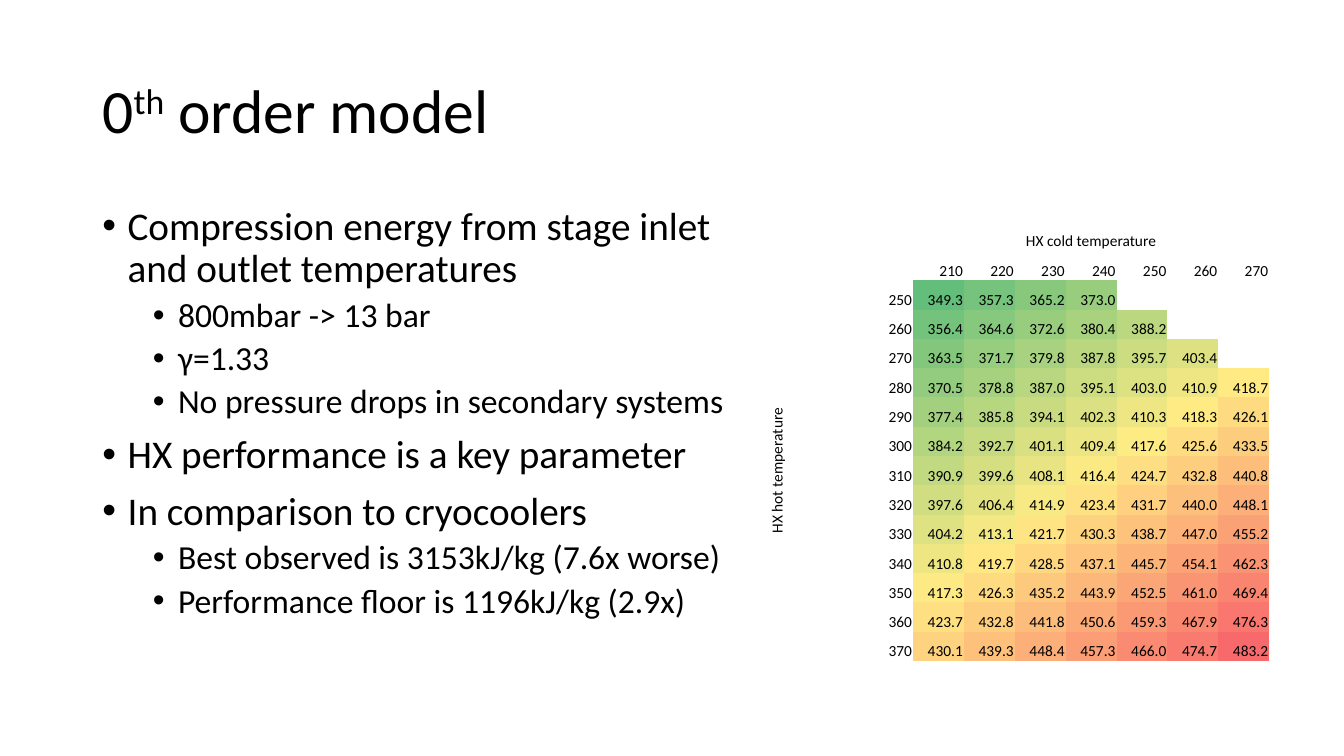
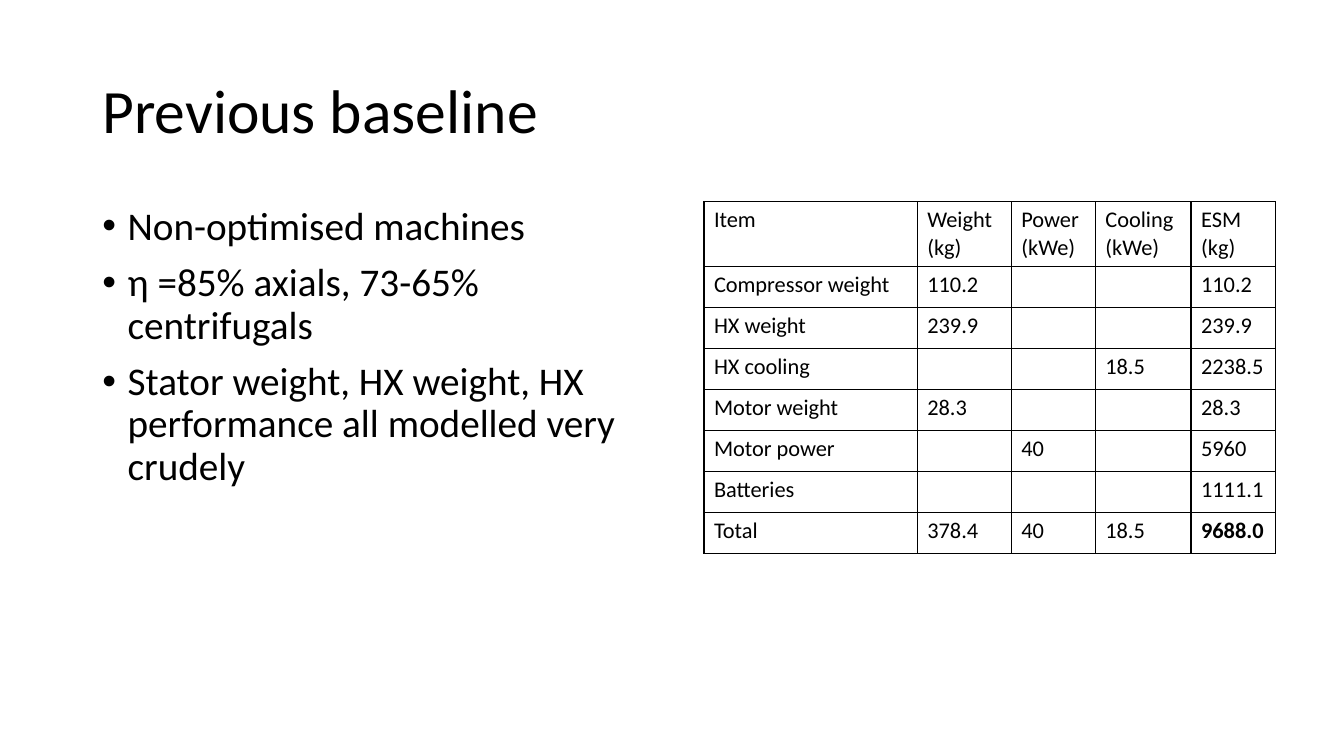
from dataclasses import dataclass
from itertools import zip_longest
from typing import Optional, Sequence

from lxml import etree
from pptx import Presentation
from pptx.dml.color import RGBColor
from pptx.enum.text import MSO_ANCHOR, MSO_AUTO_SIZE, PP_ALIGN
from pptx.oxml.ns import qn
from pptx.util import Emu, Inches, Pt

LEFT, CENTER, RIGHT = PP_ALIGN.LEFT, PP_ALIGN.CENTER, PP_ALIGN.RIGHT
TOP, MIDDLE, BOTTOM = MSO_ANCHOR.TOP, MSO_ANCHOR.MIDDLE, MSO_ANCHOR.BOTTOM
NO_AUTOFIT = MSO_AUTO_SIZE.NONE

FONT = "Calibri"
COLORS = {"text": "000000", "border": "000000",
          "low": "63BE7B", "median": "FFEB84", "high": "F8696B"}
GRID_COLUMNS, GRID_ROWS = 160, 90
CELL = Inches(7.5) / GRID_ROWS
PLAIN_TABLE_STYLE = "{2D5ABB26-0587-4C30-8999-92F81FD0307C}"


@dataclass(frozen=True)
class Box:
    """A place on the slide, in grid cells."""
    left: float
    top: float
    width: float
    height: float


@dataclass(frozen=True)
class TextRun:
    text: str
    raised: bool = False


@dataclass(frozen=True)
class Bullet:
    text: str
    level: int = 0


@dataclass(frozen=True)
class BulletLevel:
    size: int
    margin: float
    space_before: int


@dataclass(frozen=True)
class CellStyle:
    size: int
    align: PP_ALIGN = LEFT
    anchor: MSO_ANCHOR = TOP
    margins: tuple[float, float] = (0.1, 0.05)
    bordered: bool = False
    bold: bool = False
    vertical: bool = False
    fill: Optional[str] = None


TITLE_BOX = Box(11, 4.8, 138, 17.4)
BULLET_LEVELS = (BulletLevel(28, 0.25, 10), BulletLevel(24, 0.75, 5))
HANGING = 0.25

MODEL_BULLETS = (
    Bullet("Compression energy from stage inlet and outlet temperatures"),
    Bullet("800mbar -> 13 bar", 1),
    Bullet("γ=1.33", 1),
    Bullet("No pressure drops in secondary systems", 1),
    Bullet("HX performance is a key parameter"),
    Bullet("In comparison to cryocoolers"),
    Bullet("Best observed is 3153kJ/kg (7.6x worse)", 1),
    Bullet("Performance floor is 1196kJ/kg (2.9x)", 1),
)
BASELINE_BULLETS = (
    Bullet("Non-optimised machines"),
    Bullet("η =85% axials, 73-65% centrifugals"),
    Bullet("Stator weight, HX weight, HX performance all modelled very crudely"),
)

COLD_TEMPERATURES = range(210, 271, 10)
HOT_TEMPERATURES = range(250, 371, 10)
ENERGIES = (
    (349.3, 357.3, 365.2, 373.0),
    (356.4, 364.6, 372.6, 380.4, 388.2),
    (363.5, 371.7, 379.8, 387.8, 395.7, 403.4),
    (370.5, 378.8, 387.0, 395.1, 403.0, 410.9, 418.7),
    (377.4, 385.8, 394.1, 402.3, 410.3, 418.3, 426.1),
    (384.2, 392.7, 401.1, 409.4, 417.6, 425.6, 433.5),
    (390.9, 399.6, 408.1, 416.4, 424.7, 432.8, 440.8),
    (397.6, 406.4, 414.9, 423.4, 431.7, 440.0, 448.1),
    (404.2, 413.1, 421.7, 430.3, 438.7, 447.0, 455.2),
    (410.8, 419.7, 428.5, 437.1, 445.7, 454.1, 462.3),
    (417.3, 426.3, 435.2, 443.9, 452.5, 461.0, 469.4),
    (423.7, 432.8, 441.8, 450.6, 459.3, 467.9, 476.3),
    (430.1, 439.3, 448.4, 457.3, 466.0, 474.7, 483.2),
)
SORTED_ENERGIES = sorted(energy for row in ENERGIES for energy in row)

BASELINE_ROWS = (
    ("Item", "Weight (kg)", "Power (kWe)", "Cooling\n(kWe)", "ESM (kg)"),
    ("Compressor weight", "110.2", "", "", "110.2"),
    ("HX weight", "239.9", "", "", "239.9"),
    ("HX cooling", "", "", "18.5", "2238.5"),
    ("Motor weight", "28.3", "", "", "28.3"),
    ("Motor power", "", "40", "", "5960"),
    ("Batteries", "", "", "", "1111.1"),
    ("Total", "378.4", "40", "18.5", "9688.0"),
)


def cells(count: float) -> Emu:
    return Emu(round(count * CELL))


def add_run(paragraph, text: str, size: float, bold: bool = False):
    run = paragraph.add_run()
    run.text = text
    run.font.name = FONT
    run.font.size = Pt(size)
    run.font.bold = bold
    run.font.color.rgb = RGBColor.from_string(COLORS["text"])
    return run


def place(placeholder, box: Box, anchor: MSO_ANCHOR):
    placeholder.left, placeholder.top = cells(box.left), cells(box.top)
    placeholder.width, placeholder.height = cells(box.width), cells(box.height)
    frame = placeholder.text_frame
    frame.auto_size = NO_AUTOFIT
    frame.word_wrap = True
    frame.vertical_anchor = anchor
    return frame


def add_bullet(paragraph, bullet: Bullet, is_first: bool) -> None:
    style = BULLET_LEVELS[bullet.level]
    properties = paragraph._p.get_or_add_pPr()
    properties.set("marL", str(Inches(style.margin)))
    properties.set("indent", str(-Inches(HANGING)))
    etree.SubElement(properties, qn("a:buFont"), typeface="Arial")
    etree.SubElement(properties, qn("a:buChar"), char="•")
    paragraph.level = bullet.level
    paragraph.line_spacing = 0.9
    paragraph.space_before = Pt(0 if is_first else style.space_before)
    add_run(paragraph, bullet.text, style.size)


def add_content_slide(deck, title: Sequence[TextRun],
                      bullets: Sequence[Bullet], body_width: float):
    slide = deck.slides.add_slide(deck.slide_layouts[1])
    heading = place(slide.shapes.title, TITLE_BOX, MIDDLE).paragraphs[0]
    heading.alignment = LEFT
    heading.line_spacing = 0.9
    for part in title:
        run = add_run(heading, part.text, 44)
        if part.raised:
            run._r.get_or_add_rPr().set("baseline", "30000")
    body_box = Box(TITLE_BOX.left, 24, body_width, 57.1)
    body = place(slide.placeholders[1], body_box, TOP)
    for index, bullet in enumerate(bullets):
        paragraph = body.add_paragraph() if index else body.paragraphs[0]
        add_bullet(paragraph, bullet, index == 0)
    return slide


def add_plain_table(slide, left: float, top: float,
                    widths: Sequence[float], heights: Sequence[float]):
    """Add a table without banding, sized by its columns and rows."""
    table = slide.shapes.add_table(
        len(heights), len(widths), cells(left), cells(top),
        cells(sum(widths)), cells(sum(heights))).table
    table.first_row = table.horz_banding = False
    table._tbl.tblPr.find(qn("a:tableStyleId")).text = PLAIN_TABLE_STYLE
    for column, width in zip(table.columns, widths):
        column.width = cells(width)
    for row, height in zip(table.rows, heights):
        row.height = cells(height)
    return table


def add_borders(properties) -> None:
    for side in ("lnL", "lnR", "lnT", "lnB"):
        line = etree.SubElement(properties, qn(f"a:{side}"), w=str(Pt(1)))
        solid = etree.SubElement(line, qn("a:solidFill"))
        etree.SubElement(solid, qn("a:srgbClr"), val=COLORS["border"])


def fill_cell(cell, text: str, style: CellStyle) -> None:
    properties = cell._tc.get_or_add_tcPr()
    if style.bordered:
        add_borders(properties)
    if style.vertical:
        properties.set("vert", "vert270")
    if style.fill:
        cell.fill.solid()
        cell.fill.fore_color.rgb = RGBColor.from_string(style.fill)
    else:
        cell.fill.background()
    side, edge = (Inches(margin) for margin in style.margins)
    cell.margin_left = cell.margin_right = side
    cell.margin_top = cell.margin_bottom = edge
    cell.vertical_anchor = style.anchor
    for index, line in enumerate(text.split("\n")):
        frame = cell.text_frame
        paragraph = frame.add_paragraph() if index else frame.paragraphs[0]
        paragraph.alignment = style.align
        if line:
            add_run(paragraph, line, style.size, style.bold)
        else:
            etree.SubElement(paragraph._p, qn("a:endParaRPr"),
                             sz=str(style.size * 100))


def heat_color(energy: float) -> str:
    """Blend the scale colours from lowest through median to highest."""
    low, high = SORTED_ENERGIES[0], SORTED_ENERGIES[-1]
    median = SORTED_ENERGIES[len(SORTED_ENERGIES) // 2]
    if energy <= median:
        start, end, share = "low", "median", (energy - low) / (median - low)
    else:
        start, end, share = "median", "high", (energy - median) / (high - median)
    channels = zip(bytes.fromhex(COLORS[start]), bytes.fromhex(COLORS[end]))
    return "".join(f"{round(a + (b - a) * share):02X}" for a, b in channels)


def heat_style(align: PP_ALIGN = RIGHT, anchor: MSO_ANCHOR = BOTTOM,
               vertical: bool = False, fill: Optional[str] = None) -> CellStyle:
    return CellStyle(11, align, anchor, (0.01, 0), vertical=vertical, fill=fill)


def add_heat_map(slide) -> None:
    labels = 2
    widths = [7.3, 10] + [6.06] * len(COLD_TEMPERATURES)
    heights = [3.49] * (labels + len(HOT_TEMPERATURES))
    table = add_plain_table(slide, 91.4, 26.4, widths, heights)
    last_row, last_column = len(heights) - 1, len(widths) - 1
    table.cell(0, labels).merge(table.cell(0, last_column))
    table.cell(labels, 0).merge(table.cell(last_row, 0))

    blank = ("", heat_style())
    cold_axis = ("HX cold temperature", heat_style(CENTER))
    hot_axis = ("HX hot temperature", heat_style(CENTER, MIDDLE, vertical=True))
    content = [[blank, blank, cold_axis],
               [blank, blank] + [(str(cold), heat_style())
                                 for cold in COLD_TEMPERATURES]]
    for hot, energies in zip(HOT_TEMPERATURES, ENERGIES):
        axis = hot_axis if hot == HOT_TEMPERATURES[0] else blank
        content.append([axis, (str(hot), heat_style())] + [
            (f"{energy:.1f}", heat_style(fill=heat_color(energy)))
            for energy in energies])
    for row, entries in zip(table.rows, content):
        for cell, entry in zip_longest(row.cells, entries, fillvalue=blank):
            fill_cell(cell, *entry)


def add_baseline_table(slide) -> None:
    heights = [7.7] + [4.88] * (len(BASELINE_ROWS) - 1)
    table = add_plain_table(slide, 83.8, 24, (25.4, 11.2, 10, 11.4, 10.1), heights)
    grand_total = BASELINE_ROWS[-1][-1]
    for row, texts in zip(table.rows, BASELINE_ROWS):
        for cell, text in zip(row.cells, texts):
            fill_cell(cell, text, CellStyle(16, bordered=True,
                                            bold=text == grand_total))


def main() -> None:
    deck = Presentation()
    deck.slide_width, deck.slide_height = cells(GRID_COLUMNS), cells(GRID_ROWS)
    model_title = (TextRun("0"), TextRun("th", raised=True),
                   TextRun(" order model"))
    add_heat_map(add_content_slide(deck, model_title, MODEL_BULLETS, 79.3))
    baseline_title = (TextRun("Previous baseline"),)
    add_baseline_table(
        add_content_slide(deck, baseline_title, BASELINE_BULLETS, 68))
    deck.save("out.pptx")


if __name__ == "__main__":
    main()
